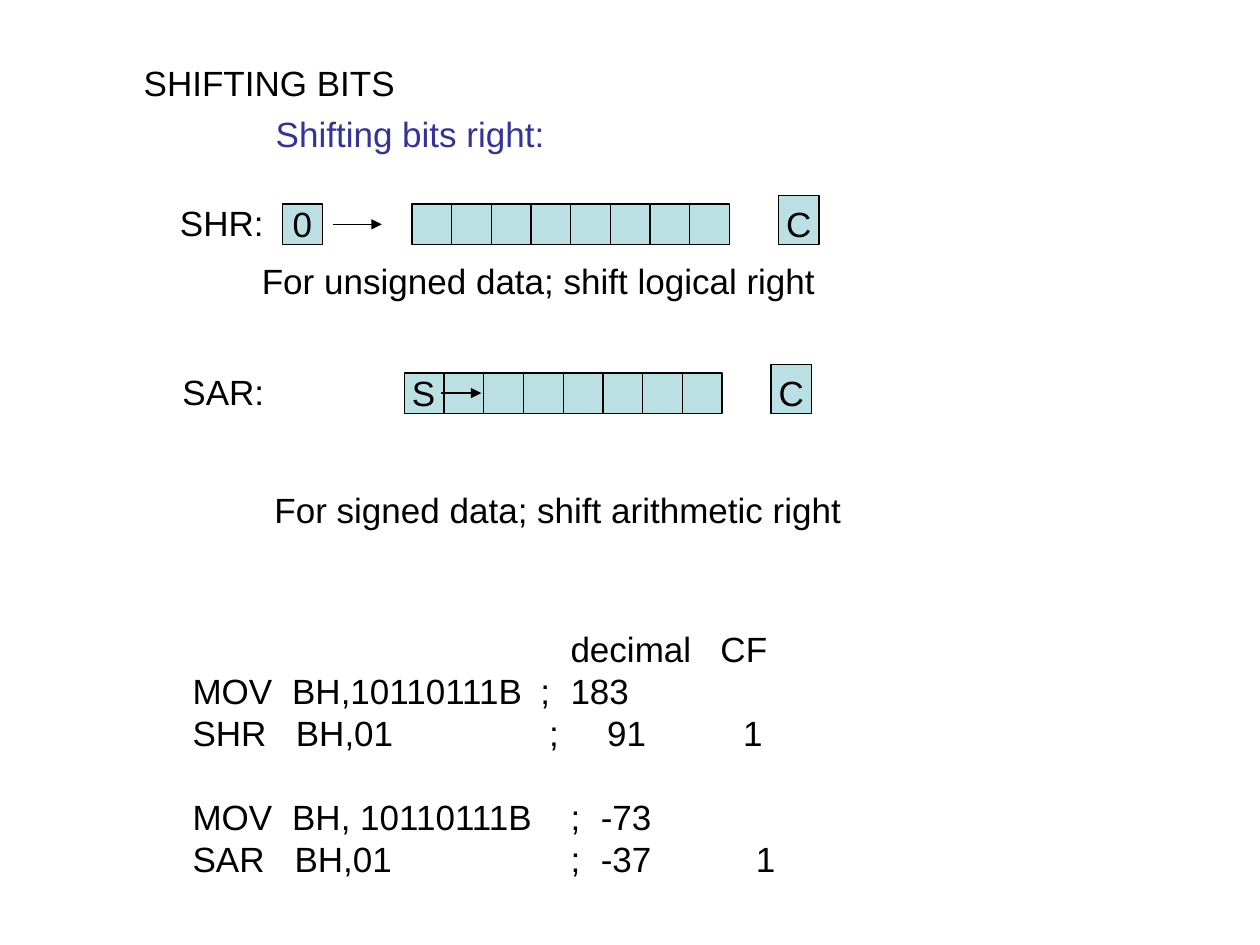
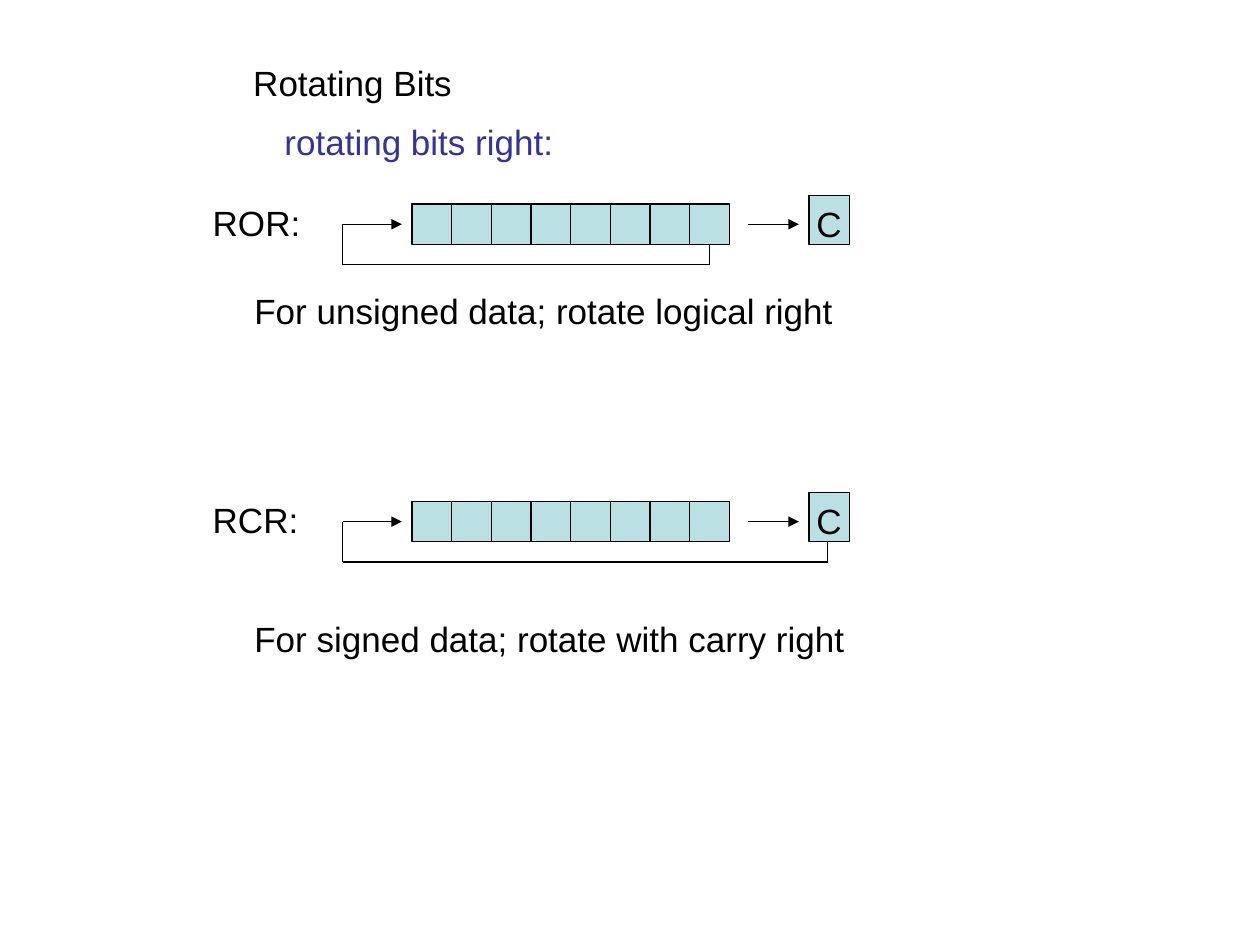
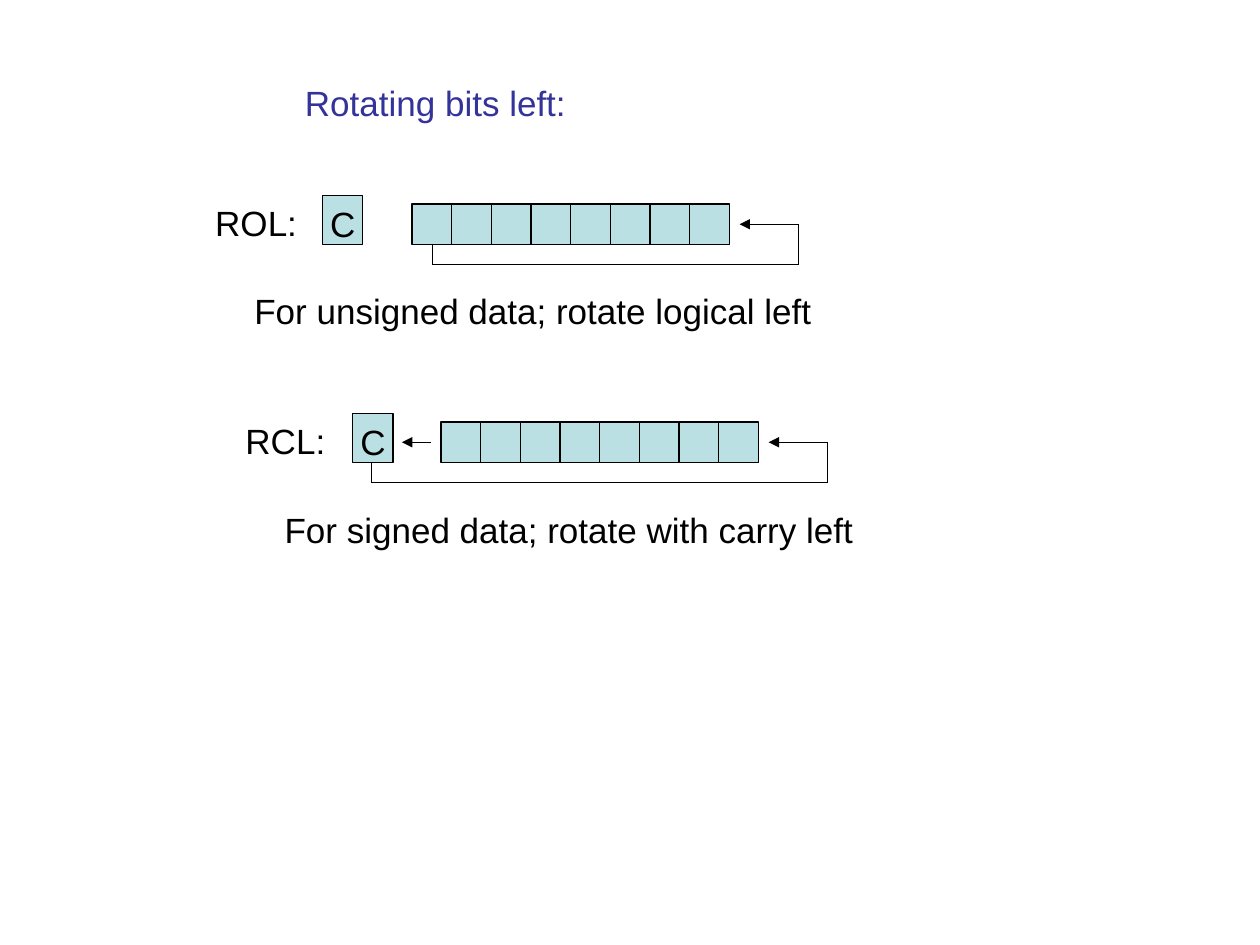
from lxml import etree
from pptx import Presentation
from pptx import util as u
from pptx.dml.color import RGBColor
from pptx.enum import shapes, text
from pptx.oxml.ns import qn

BLACK = RGBColor(0x00, 0x00, 0x00)
INDIGO = RGBColor(0x33, 0x33, 0x99)
AQUA = RGBColor(0xBB, 0xE0, 0xE3)
FONT = "Arial"
SIZE, LEADING = 20, 24
TEXT_H, LABEL_W = 0.44, 1.0
BITS, REGISTER_W, BIT_H = 8, 2.52, 0.32
BIT_W = REGISTER_W / BITS
CARRY_H, CARRY_RISE = 0.39, 0.07
LOOP_DROP, ARROW_GAP = 0.16, 0.08

# Texts are (words, left, top, width). In a diagram, "loop" is (start x, side x)
# and each arrow is (from x, to x) on the middle line of the register.
SLIDES = [
    dict(title=("SHIFTING BITS", 1.04, 0.44, 2.4),
         subtitle=("Shifting bits right:", 2.09, 0.84, 2.33),
         diagrams=[
             dict(op="SHR:", op_x=1.33, left=3.27, top=1.62, carry=6.18, fill_in=2.24,
                  arrows=[(2.64, 3.03)],
                  caption=("For unsigned data; shift logical right", 1.98, 2.01, 4.59)),
             dict(op="SAR:", op_x=1.35, left=3.21, top=2.96, carry=6.12, sign="S",
                  arrows=[(3.5, 3.82)],
                  caption=("For signed data; shift arithmetic right", 2.08, 3.83, 4.7)),
         ]),
    dict(title=("Rotating Bits", 1.91, 0.44, 2.0),
         subtitle=("rotating bits right:", 2.16, 0.91, 2.33),
         diagrams=[
             dict(op="ROR:", op_x=1.59, left=3.27, top=1.62, carry=6.42,
                  arrows=[(5.94, 6.34)], loop=(5.63, 2.72),
                  caption=("For unsigned data; rotate logical right", 1.92, 2.25, 4.79)),
             dict(op="RCR:", op_x=1.59, left=3.27, top=3.98, carry=6.42,
                  arrows=[(5.94, 6.34)], loop=(6.57, 2.72),
                  caption=("For signed data; rotate with carry right", 1.92, 4.85, 4.89)),
         ]),
    dict(title=("Rotating bits left:", 2.32, 0.6, 2.5), title_color=INDIGO,
         diagrams=[
             dict(op="ROL:", op_x=1.61, left=3.27, top=1.62, carry=2.56,
                  loop=(3.43, 6.34),
                  caption=("For unsigned data; rotate logical left", 1.92, 2.25, 4.62)),
             dict(op="RCL:", op_x=1.85, left=3.5, top=3.35, carry=2.8,
                  arrows=[(3.42, 3.19)], loop=(2.95, 6.57),
                  caption=("For signed data; rotate with carry left", 2.16, 3.99, 4.71)),
         ]),
]

# Each line: fields, their tab stops, space before in points
CODE_BOX = (1.43, 4.93, 5.0, 2.1)
CODE = [
    (["", "decimal", "CF"], (3.0, 4.19), 0),
    (["MOV", "BH,10110111B", ";", "183"], (0.79, 2.76, 3.0), 0),
    (["SHR", "BH,01", ";", "91", "1"], (0.82, 2.83, 3.29, 4.37), 0),
    (["MOV", "BH, 10110111B", ";", "-73"], (0.79, 3.0, 3.24), LEADING),
    (["SAR", "BH,01", ";", "-37", "1"], (0.81, 3.0, 3.24, 4.47), 0),
]


def place(shape, left, top, width, height):
    shape.left, shape.top = u.Inches(left), u.Inches(top)
    shape.width, shape.height = u.Inches(width), u.Inches(height)


def write(p, words, color=BLACK, align=text.PP_ALIGN.LEFT, before=0, stops=()):
    if stops:
        tabs = etree.SubElement(p._p.get_or_add_pPr(), qn("a:tabLst"))
        for stop in stops:
            etree.SubElement(tabs, qn("a:tab"), pos=str(u.Inches(stop)), algn="l")
    p.alignment = align
    p.line_spacing, p.space_before = u.Pt(LEADING), u.Pt(before)
    r = p.add_run()
    r.text = words
    r.font.name, r.font.size = FONT, u.Pt(SIZE)
    r.font.bold = False
    r.font.color.rgb = color


def frame(shape, inset=(0.1, 0.05), wrap=False, anchor=text.MSO_ANCHOR.TOP):
    tf = shape.text_frame
    tf.auto_size = text.MSO_AUTO_SIZE.NONE
    tf.word_wrap, tf.vertical_anchor = wrap, anchor
    tf.margin_left = tf.margin_right = u.Inches(inset[0])
    tf.margin_top = tf.margin_bottom = u.Inches(inset[1])
    return tf


def add_text(s, words, left, top, width, wrap=False, **fmt):
    tb = s.shapes.add_textbox(0, 0, 0, 0)
    place(tb, left, top, width, TEXT_H)
    write(frame(tb, wrap=wrap).paragraphs[0], words, **fmt)


def add_box(s, left, top, width, height, letter="", inset=0,
            align=text.PP_ALIGN.CENTER):
    sp = s.shapes.add_shape(shapes.MSO_SHAPE.RECTANGLE, 0, 0, 0, 0)
    place(sp, left, top, width, height)
    sp.shadow.inherit = False
    sp.fill.solid()
    sp.fill.fore_color.rgb = AQUA
    sp.line.color.rgb, sp.line.width = BLACK, u.Pt(0.75)
    if letter:
        tf = frame(sp, inset=(inset, 0), anchor=text.MSO_ANCHOR.BOTTOM)
        write(tf.paragraphs[0], letter, align=align)


def add_line(s, start, end, arrow=False):
    c = s.shapes.add_connector(shapes.MSO_CONNECTOR.STRAIGHT,
                               *map(u.Inches, (*start, *end)))
    c.line.color.rgb, c.line.width = BLACK, u.Pt(0.75)
    if arrow:
        etree.SubElement(c.line._get_or_add_ln(), qn("a:tailEnd"), type="triangle")
    etree.SubElement(c._element.spPr, qn("a:effectLst"))


def add_loop(s, left, top, start_x, side_x):
    """Lead a bit from below start_x round side_x back into the register."""
    bottom, middle = top + BIT_H, top + BIT_H / 2
    low = bottom + LOOP_DROP
    tip = left - ARROW_GAP if side_x < left else left + REGISTER_W + ARROW_GAP
    points = [(start_x, bottom), (start_x, low), (side_x, low),
              (side_x, middle), (tip, middle)]
    for start, end in zip(points, points[1:]):
        add_line(s, start, end, arrow=end == points[-1])


def add_diagram(s, op, op_x, left, top, carry, caption, arrows=(), loop=None,
                fill_in=None, sign=""):
    text_top, middle = top - CARRY_RISE, top + BIT_H / 2
    add_text(s, op, op_x, text_top, LABEL_W, wrap=True)
    add_box(s, carry, text_top, BIT_H, CARRY_H, "C")
    if fill_in:
        add_box(s, fill_in, top, BIT_H, BIT_H, "0")
    add_box(s, left, top, REGISTER_W, BIT_H, sign, 0.06, text.PP_ALIGN.LEFT)
    for i in range(1, BITS):
        x = left + i * BIT_W
        add_line(s, (x, top), (x, top + BIT_H))
    for start_x, end_x in arrows:
        add_line(s, (start_x, middle), (end_x, middle), arrow=True)
    if loop:
        add_loop(s, left, top, *loop)
    add_text(s, *caption)


def add_code(s):
    tb = s.shapes.add_textbox(0, 0, 0, 0)
    place(tb, *CODE_BOX)
    tf = frame(tb, wrap=True)
    for i, (fields, stops, before) in enumerate(CODE):
        p = tf.add_paragraph() if i else tf.paragraphs[0]
        write(p, "\t".join(fields), stops=stops, before=before)


def add_slide(prs, title, diagrams, subtitle=None, title_color=BLACK):
    s = prs.slides.add_slide(prs.slide_layouts[5])
    words, left, top, width = title
    place(s.shapes.title, left, top, width, TEXT_H)
    write(frame(s.shapes.title, wrap=True).paragraphs[0], words, color=title_color)
    if subtitle:
        add_text(s, *subtitle, color=INDIGO)
    for diagram in diagrams:
        add_diagram(s, **diagram)
    return s


def main():
    prs = Presentation()
    prs.slide_width, prs.slide_height = u.Inches(10), u.Inches(7.5)
    built = [add_slide(prs, **content) for content in SLIDES]
    add_code(built[0])
    prs.save("out.pptx")


if __name__ == "__main__":
    main()
